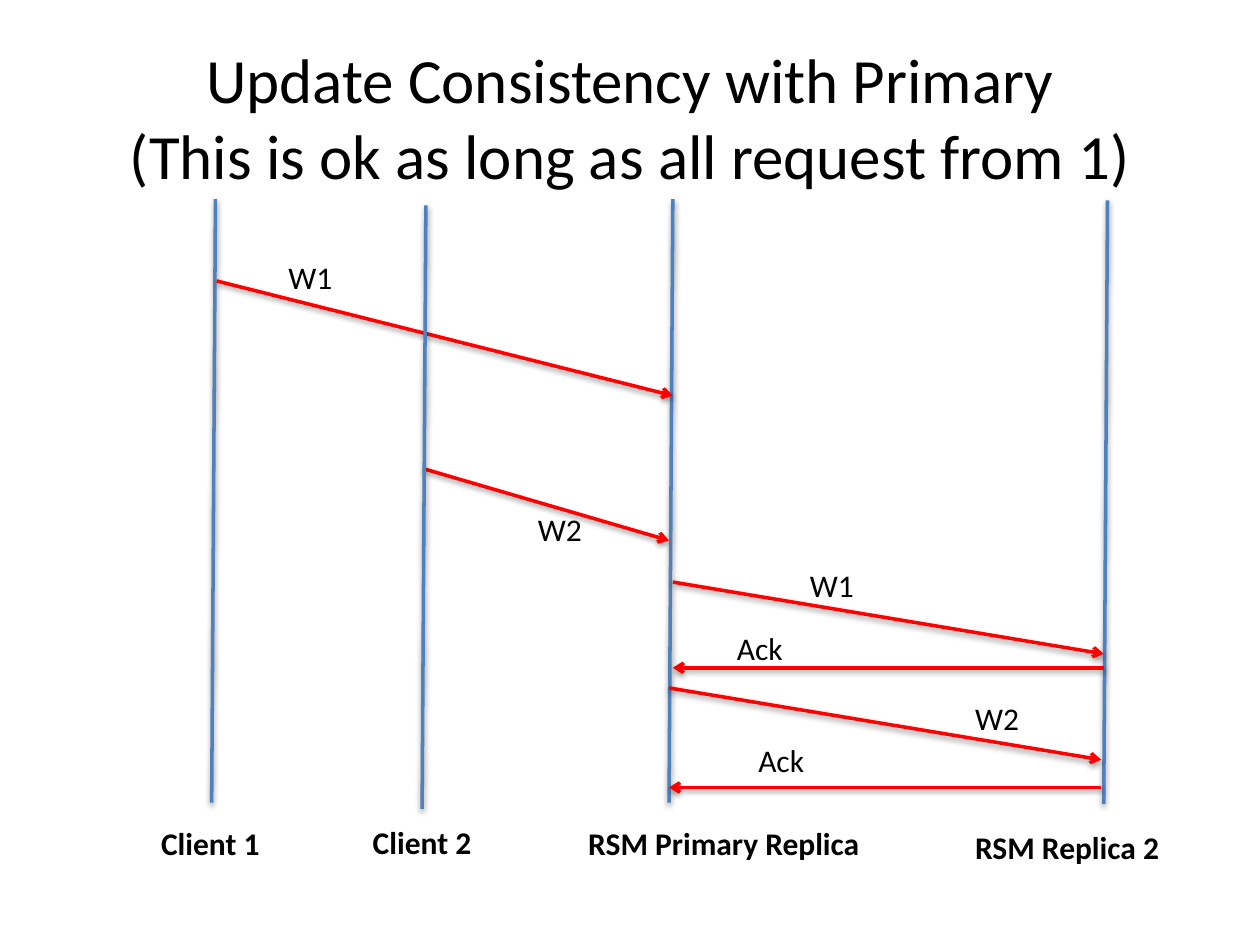
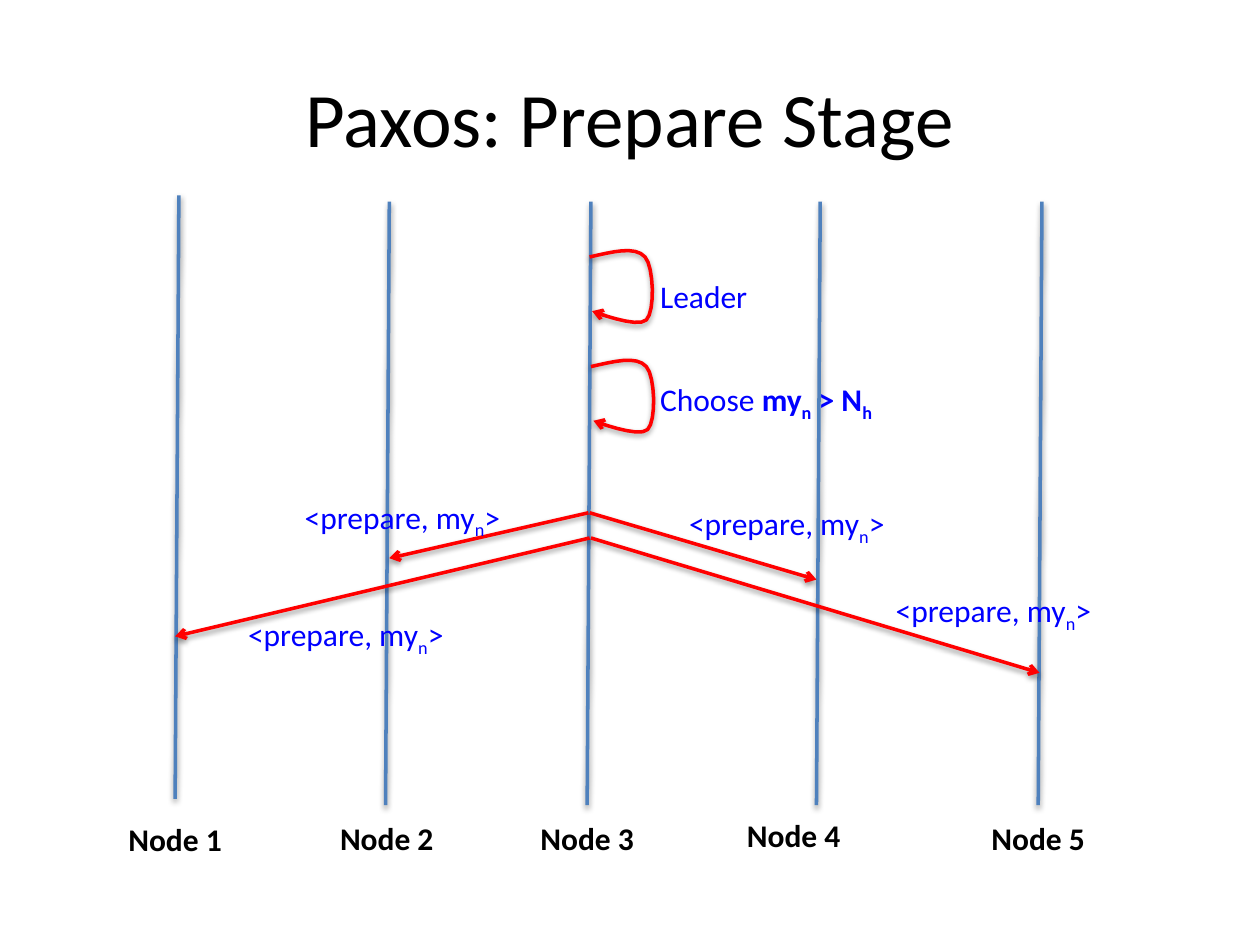
import pptx
import pptx.util
import pptx.dml.color
import pptx.enum.shapes
import pptx.enum.text
import lxml.etree
from pptx.util import Inches

BLUE = pptx.dml.color.RGBColor(0x4F, 0x81, 0xBD)
RED = pptx.dml.color.RGBColor(0xFF, 0x00, 0x00)
INK = pptx.dml.color.RGBColor(0x00, 0x00, 0x00)
LABEL = pptx.dml.color.RGBColor(0x00, 0x00, 0xFF)
FONT = "Calibri"
LIFE_DX, LIFE_LENGTH = -0.03, 4.79
STEPS = 8
SHADOW = (
    '<a:effectLst xmlns:a="http://schemas.openxmlformats.org/drawingml/2006/main">'
    '<a:outerShdw blurRad="40000" dist="20000" dir="5400000" rotWithShape="0">'
    '<a:srgbClr val="000000"><a:alpha val="38000"/></a:srgbClr>'
    '</a:outerShdw></a:effectLst>'
)


def style_line(sp, color):
    sp.line.color.rgb = color
    sp.line.width = pptx.util.Pt(2)
    if color == RED:
        ln = sp.line._get_or_add_ln()
        tail = lxml.etree.SubElement(ln, pptx.oxml.ns.qn("a:tailEnd"))
        tail.set("type", "arrow")
    sp._element.spPr.append(lxml.etree.fromstring(SHADOW))


def add_text(s, x, y, w, runs, color=INK, bold=False, size=18, h=0.4):
    sp = s.shapes.add_textbox(Inches(x), Inches(y), Inches(w), Inches(h))
    tf = sp.text_frame
    p = tf.paragraphs[0]
    p.font.name = FONT
    p.font.size = pptx.util.Pt(size)
    p.font.bold = bold
    p.font.color.rgb = color
    for text, strong, sub in runs:
        r = p.add_run()
        r.text = text
        if strong:
            r.font.bold = True
        if sub:
            r._r.get_or_add_rPr().set("baseline", "-25000")
    return sp


prs = pptx.Presentation()
prs.slide_width, prs.slide_height = Inches(10), Inches(7.5)

prepare = [("<prepare, my", False, False), ("n", False, True), ("> ", False, False)]
choose = [("Choose ", False, False), ("my", True, False), ("n", True, True),
          (" > N", True, False), ("h", True, True)]

diagrams = [
    {
        "title": "Update Consistency with Primary\v(This is ok as long as all request from 1)",
        "size": 36,
        "strokes": [
            ("life", 1.71, 1.58), ("life", 5.34, 1.58), ("life", 8.79, 1.59),
            ("message", 1.72, 2.23, 5.34, 3.14), ("message", 3.36, 3.72, 5.31, 4.29),
            ("life", 3.38, 1.63),
            ("message", 5.34, 4.62, 8.76, 5.19), ("message", 8.76, 5.3, 5.34, 5.3),
            ("message", 5.31, 5.46, 8.74, 6.03), ("message", 8.74, 6.25, 5.31, 6.25),
        ],
        "loops": [],
        "names": [("Client 1 ", 1.18, 6.49, 0.99), ("Client 2 ", 2.86, 6.48, 0.99),
                  ("RSM Primary Replica", 4.57, 6.49, 2.38), ("RSM Replica 2", 7.64, 6.52, 1.69)],
        "labels": [([(text, False, False)], x, y, w, INK) for text, x, y, w in [
            ("W1", 2.19, 2, 0.55), ("W2", 4.17, 4, 0.55), ("W1", 6.33, 4.44, 0.55),
            ("Ack", 5.75, 4.94, 0.57), ("W2", 7.64, 5.5, 0.55), ("Ack", 5.92, 5.83, 0.57)]],
    },
    {
        "title": "Paxos: Prepare Stage",
        "size": 44,
        "strokes": [
            ("life", 1.42, 1.55), ("life", 3.09, 1.6), ("life", 4.69, 1.6),
            ("life", 6.51, 1.6), ("life", 8.27, 1.6),
            ("message", 4.67, 4.07, 3.09, 4.43), ("message", 4.68, 4.27, 1.39, 5.05),
            ("message", 4.68, 4.07, 6.48, 4.6), ("message", 4.69, 4.27, 8.25, 5.34),
        ],
        "loops": [(4.68, 2.04), (4.69, 2.91)],
        "names": [("Node 1 ", 0.92, 6.46, 0.95), ("Node 2 ", 2.6, 6.45, 0.95),
                  ("Node 3", 4.19, 6.45, 0.95), ("Node 4", 5.83, 6.43, 0.95),
                  ("Node 5", 7.77, 6.45, 0.95)],
        "labels": [([("Leader", False, False)], 5.14, 2.15, 0.91, LABEL),
                   (choose, 5.14, 2.97, 1.91, LABEL),
                   (prepare, 2.32, 3.9, 1.86, LABEL), (prepare, 1.87, 4.83, 1.79, LABEL),
                   (prepare, 5.37, 3.95, 1.79, LABEL), (prepare, 7.01, 4.64, 1.79, LABEL)],
    },
]

loop_curves = [
    [(0, 0), (0.18, -0.04), (0.36, -0.09), (0.44, 0)],
    [(0.44, 0), (0.51, 0.08), (0.52, 0.43), (0.45, 0.5)],
    [(0.45, 0.5), (0.38, 0.57), (0.02, 0.43), (0.02, 0.43)],
]
loop_points = []
for a, b, c, d in loop_curves:
    for step in range(1, STEPS + 1):
        t = step / STEPS
        u = 1 - t
        loop_points.append([u**3 * a[i] + 3 * u * u * t * b[i] + 3 * u * t * t * c[i] + t**3 * d[i]
                            for i in (0, 1)])

for diagram in diagrams:
    s = prs.slides.add_slide(prs.slide_layouts[6])
    sp = add_text(s, 0.5, 0.3, 9, [], size=diagram["size"], h=1.25)
    tf = sp.text_frame
    tf.word_wrap = True
    tf.vertical_anchor = pptx.enum.text.MSO_ANCHOR.MIDDLE
    p = tf.paragraphs[0]
    p.alignment = pptx.enum.text.PP_ALIGN.CENTER
    for i, line in enumerate(diagram["title"].split("\v")):
        if i:
            p.add_line_break()
        p.add_run().text = line

    for kind, x, y, *end in diagram["strokes"]:
        x2, y2 = end or (x + LIFE_DX, y + LIFE_LENGTH)
        sp = s.shapes.add_connector(pptx.enum.shapes.MSO_CONNECTOR.STRAIGHT,
                                    Inches(x), Inches(y), Inches(x2), Inches(y2))
        style_line(sp, BLUE if kind == "life" else RED)

    for x, y in diagram["loops"]:
        builder = s.shapes.build_freeform(Inches(x), Inches(y))
        builder.add_line_segments([(Inches(x + dx), Inches(y + dy)) for dx, dy in loop_points],
                                  close=False)
        sp = builder.convert_to_shape()
        sp.fill.background()
        style_line(sp, RED)

    for name, x, y, w in diagram["names"]:
        add_text(s, x, y, w, [(name, False, False)], bold=True)
    for runs, x, y, w, color in diagram["labels"]:
        add_text(s, x, y, w, runs, color)

prs.save("out.pptx")
